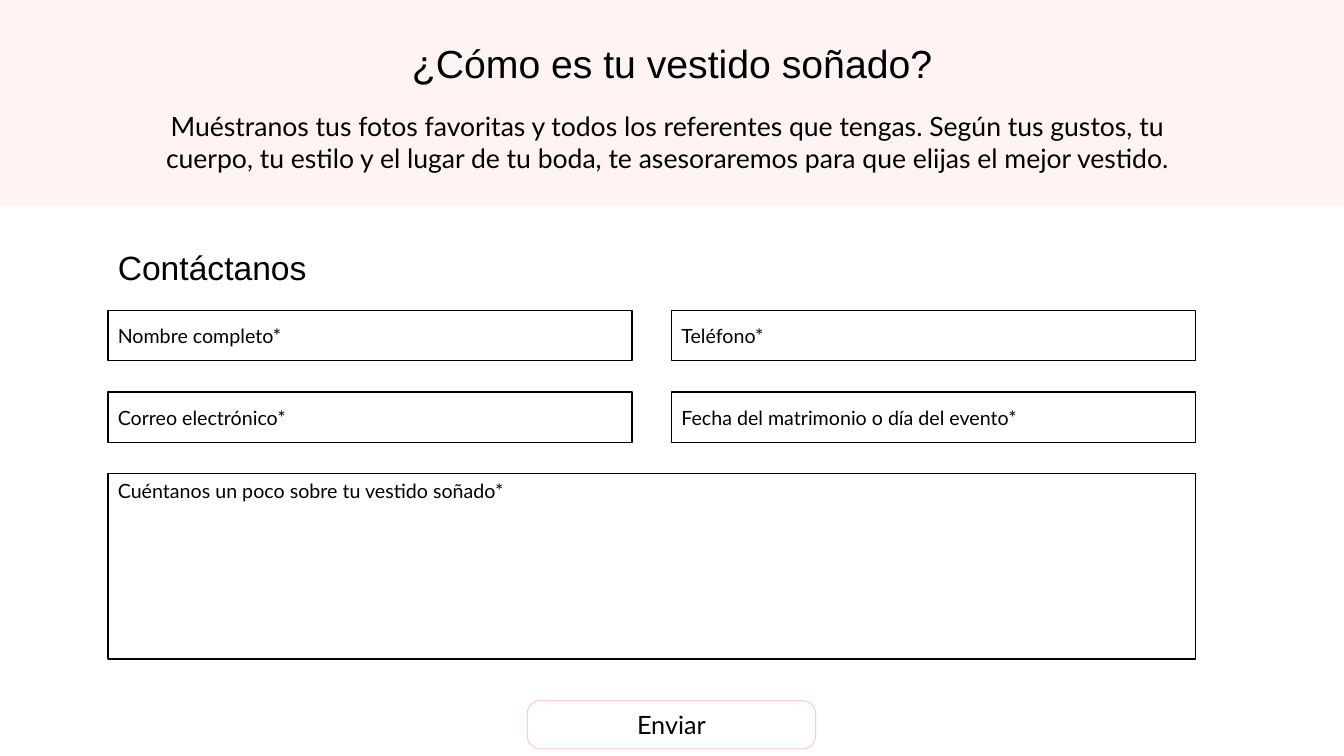
from pptx import Presentation, util as u
from pptx.dml.color import RGBColor
from pptx.enum import shapes, text

BLACK = RGBColor(0x00, 0x00, 0x00)
WHITE = RGBColor(0xFF, 0xFF, 0xFF)
BLUSH = RGBColor(0xFF, 0xF3, 0xF3)
PINK = RGBColor(0xFF, 0xCC, 0xCC)
HEADING_FONT, BODY_FONT = "Arial", "Lato"

# Form grid, in inches
SLIDE_W, SLIDE_H = 13.33, 7.5
LEFT, TOP = 1.07, 3.08
FIELD_W, FIELD_H = 5.2, 0.5
COL_STEP, ROW_STEP = 5.59, 0.81
MESSAGE_H = 1.84

FIELDS = [
    ["Nombre completo*", "Teléfono*"],
    ["Correo electrónico*", "Fecha del matrimonio o día del evento*"],
]


def write(s, words, size, font, align=text.PP_ALIGN.LEFT,
          anchor=text.MSO_ANCHOR.TOP):
    tf = s.text_frame
    tf.word_wrap = True
    tf.auto_size = text.MSO_AUTO_SIZE.NONE
    tf.vertical_anchor = anchor
    p = tf.paragraphs[0]
    p.alignment = align
    p.space_before = u.Pt(0)
    r = p.add_run()
    r.text = words
    r.font.size = u.Pt(size)
    r.font.name = font
    r.font.color.rgb = BLACK


def add_box(slide, kind, box, fill=None, line=None, weight=1):
    s = slide.shapes.add_shape(kind, *map(u.Inches, box))
    s.shadow.inherit = False
    if fill is None:
        s.fill.background()
    else:
        s.fill.solid()
        s.fill.fore_color.rgb = fill
    if line is None:
        s.line.fill.background()
    else:
        s.line.color.rgb = line
        s.line.width = u.Pt(weight)
    return s


def add_field(slide, box, label, anchor):
    s = add_box(slide, shapes.MSO_SHAPE.RECTANGLE, box, line=BLACK)
    write(s, label, 14, BODY_FONT, anchor=anchor)


def fill_placeholder(s, box, words, size, font):
    s.left, s.top, s.width, s.height = map(u.Inches, box)
    write(s, words, size, font, text.PP_ALIGN.CENTER)


def add_header(slide):
    band = add_box(slide, shapes.MSO_SHAPE.RECTANGLE,
                   (0, 0, SLIDE_W, 2.04), fill=BLUSH)
    # The band goes behind the title and the introduction
    slide.shapes.title.element.addprevious(band.element)
    fill_placeholder(slide.shapes.title, (2.53, 0.34, 8.27, 0.57),
                     "¿Cómo es tu vestido soñado?", 28, HEADING_FONT)
    fill_placeholder(slide.placeholders[1], (1.36, 1.04, 10.52, 0.74),
                     "Muéstranos tus fotos favoritas y todos los referentes "
                     "que tengas. Según tus gustos, tu cuerpo, tu estilo y el "
                     "lugar de tu boda, te asesoraremos para que elijas el "
                     "mejor vestido.", 19, BODY_FONT)


def add_form(slide):
    heading = slide.shapes.add_textbox(
        *map(u.Inches, (LEFT, 2.4, 4.47, 0.5)))
    write(heading, "Contáctanos", 24, HEADING_FONT)

    # Single-line fields
    for row, labels in enumerate(FIELDS):
        for col, label in enumerate(labels):
            box = (LEFT + col * COL_STEP, TOP + row * ROW_STEP,
                   FIELD_W, FIELD_H)
            add_field(slide, box, label, text.MSO_ANCHOR.MIDDLE)

    # Message field spans both columns
    add_field(slide, (LEFT, TOP + len(FIELDS) * ROW_STEP,
                      COL_STEP + FIELD_W, MESSAGE_H),
              "Cuéntanos un poco sobre tu vestido soñado*",
              text.MSO_ANCHOR.TOP)


def add_button(slide):
    s = add_box(slide, shapes.MSO_SHAPE.ROUNDED_RECTANGLE,
                (5.23, 6.95, 2.86, 0.48), WHITE, PINK, 0.75)
    s.adjustments[0] = 0.27
    write(s, "Enviar", 18, BODY_FONT, text.PP_ALIGN.CENTER,
          text.MSO_ANCHOR.MIDDLE)


def main():
    prs = Presentation()
    prs.slide_width, prs.slide_height = u.Inches(SLIDE_W), u.Inches(SLIDE_H)
    slide = prs.slides.add_slide(prs.slide_layouts[0])
    add_header(slide)
    add_form(slide)
    add_button(slide)
    prs.save("out.pptx")


if __name__ == "__main__":
    main()
